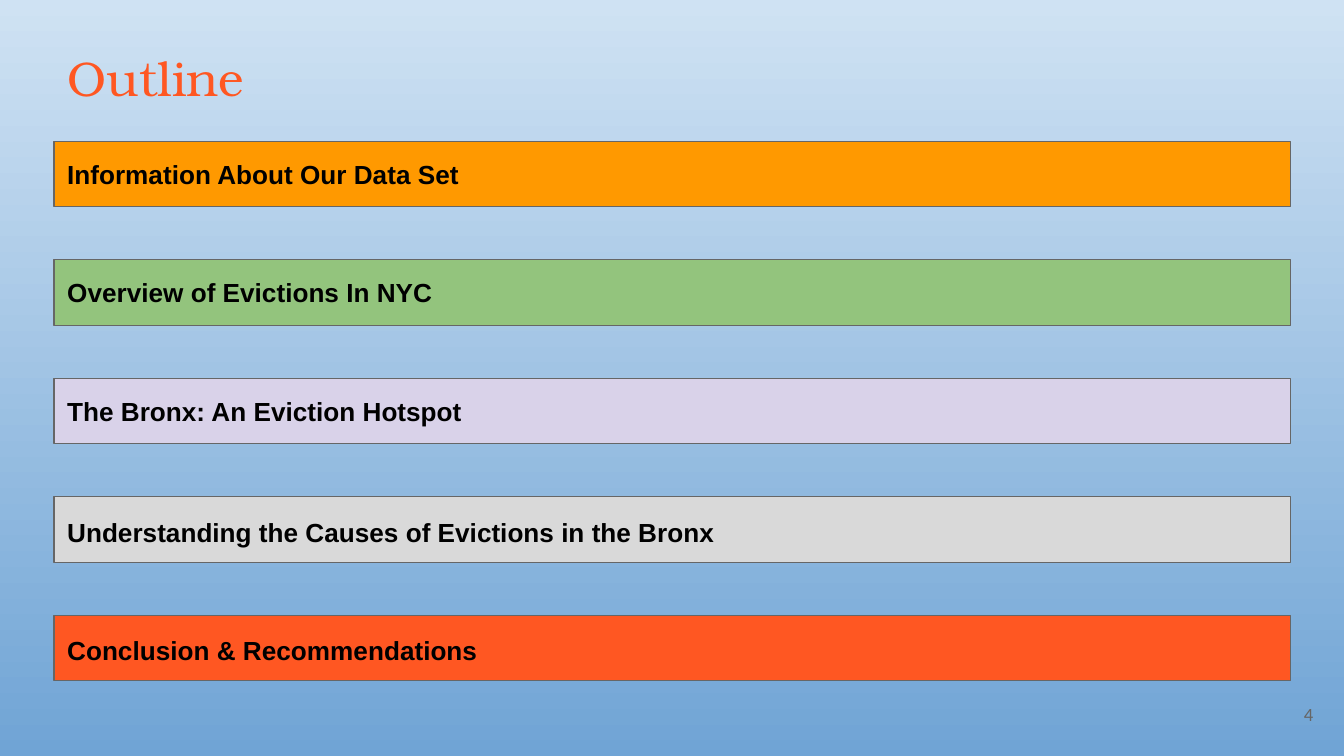
"""Build the outline slide with five coloured section bars."""
import pptx
import pptx.dml.color
import pptx.enum.shapes
import pptx.enum.text
import pptx.util

Cm = pptx.util.Cm
Pt = pptx.util.Pt
ALIGN = pptx.enum.text.PP_ALIGN
ANCHOR = pptx.enum.text.MSO_ANCHOR

COLORS = {
    "sky": "CFE2F3",
    "blue": "70A4D5",
    "orange": "FF9900",
    "green": "93C47D",
    "lavender": "D9D2E9",
    "silver": "D9D9D9",
    "red": "FF5722",
    "gray": "666666",
    "black": "000000",
}
SECTIONS = [
    ("Information About Our Data Set", "orange", 1.0),
    ("Overview of Evictions In NYC", "green", 1.0),
    ("The Bronx: An Eviction Hotspot", "lavender", 1.0),
    ("Understanding the Causes of Evictions in the Bronx", "silver", 1.15),
    ("Conclusion & Recommendations", "red", 1.15),
]
LEFT, BAR_TOP, BAR_PITCH = 1.02, 2.67, 2.24
BAR_WIDTH, BAR_HEIGHT = 23.37, 1.24


def rgb(name):
    return pptx.dml.color.RGBColor.from_string(COLORS[name])


def write(shape, text, font, size, color, alignment, anchor):
    frame = shape.text_frame
    frame.text = text
    frame.word_wrap = True
    frame.vertical_anchor = anchor
    frame.margin_left = frame.margin_right = Cm(0.25)
    frame.margin_top = frame.margin_bottom = Cm(0.25)
    paragraph = frame.paragraphs[0]
    paragraph.alignment = alignment
    paragraph.font.name = font
    paragraph.font.size = Pt(size)
    paragraph.font.color.rgb = rgb(color)
    return paragraph


presentation = pptx.Presentation()
presentation.slide_width = Cm(25.4)
presentation.slide_height = Cm(14.29)
slide = presentation.slides.add_slide(presentation.slide_layouts[5])

background = slide.background.fill
background.gradient()
background.gradient_angle = 270
for stop, name in zip(background.gradient_stops, ("sky", "blue")):
    stop.color.rgb = rgb(name)
background.gradient_stops[0].position = 0
background.gradient_stops[1].position = 1

title = slide.shapes.title
title.left, title.top = Cm(LEFT), Cm(0.66)
title.width, title.height = Cm(21.69), Cm(1.63)
write(title, "Outline", "TeX Gyre Bonum", 26, "red", ALIGN.LEFT, ANCHOR.TOP)
title.text_frame.auto_size = pptx.enum.text.MSO_AUTO_SIZE.SHAPE_TO_FIT_TEXT

for index, (text, color, spacing) in enumerate(SECTIONS):
    bar = slide.shapes.add_shape(
        pptx.enum.shapes.MSO_SHAPE.RECTANGLE,
        Cm(LEFT), Cm(BAR_TOP + index * BAR_PITCH), Cm(BAR_WIDTH), Cm(BAR_HEIGHT),
    )
    bar.shadow.inherit = False
    bar.fill.solid()
    bar.fill.fore_color.rgb = rgb(color)
    bar.line.color.rgb = rgb("gray")
    bar.line.width = Pt(0.75)
    paragraph = write(bar, text, "Arial", 14, "black", ALIGN.LEFT, ANCHOR.MIDDLE)
    paragraph.font.bold = True
    paragraph.line_spacing = spacing

page_number = slide.shapes.add_textbox(Cm(23.55), Cm(12.95), Cm(1.52), Cm(1.09))
write(page_number, "4", "Calibri", 10, "gray", ALIGN.RIGHT, ANCHOR.MIDDLE)

presentation.save("out.pptx")
